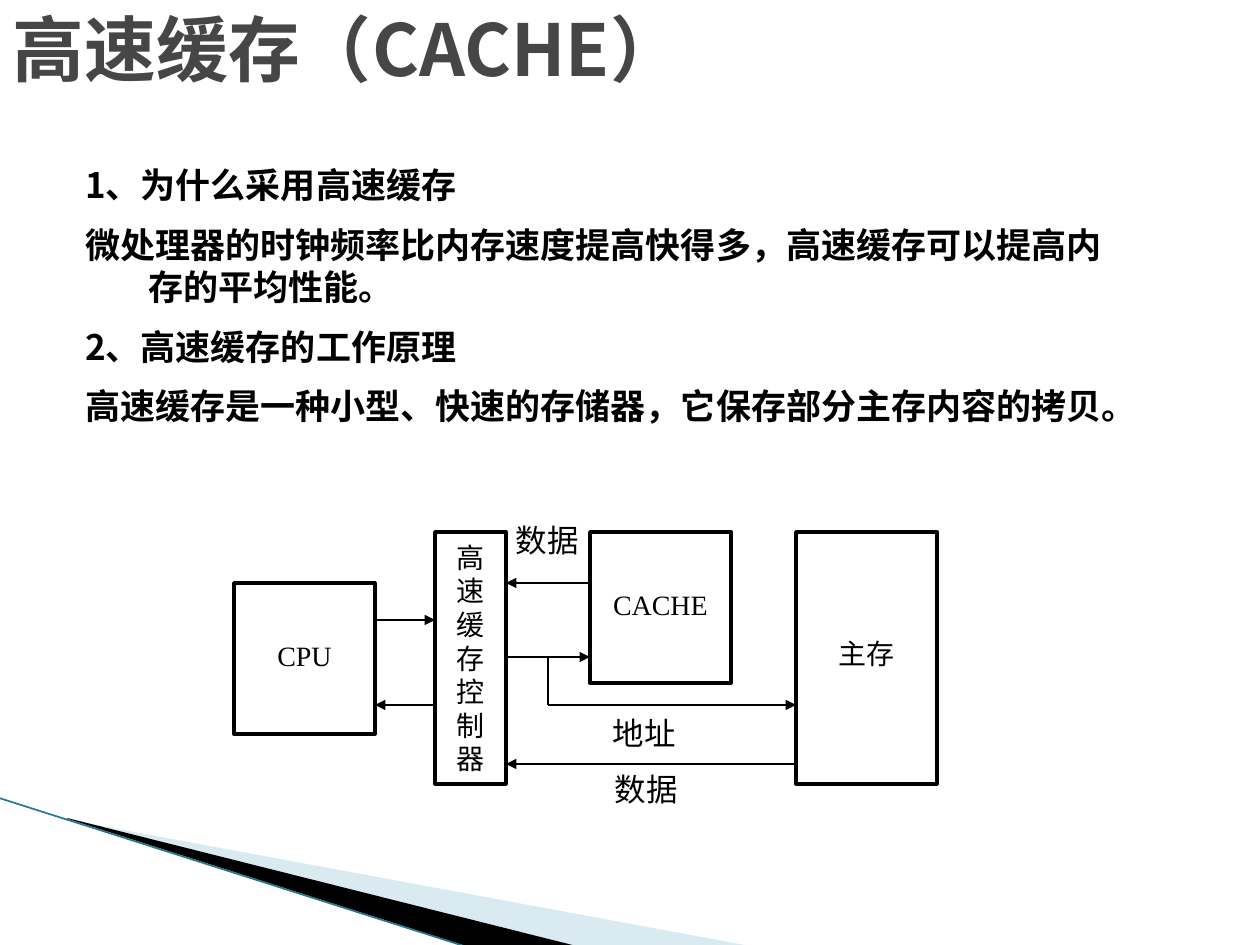
from lxml import etree
from pptx import Presentation
from pptx.dml.color import RGBColor
from pptx.enum.shapes import MSO_CONNECTOR, MSO_SHAPE
from pptx.enum.text import MSO_ANCHOR, PP_ALIGN
from pptx.oxml.ns import qn
from pptx.util import Pt

EMU_PER_PX = 914400 / 126
TITLE_ONLY = 5
RECTANGLE = MSO_SHAPE.RECTANGLE
STRAIGHT = MSO_CONNECTOR.STRAIGHT
TOP, MIDDLE = MSO_ANCHOR.TOP, MSO_ANCHOR.MIDDLE
LEFT, CENTER = PP_ALIGN.LEFT, PP_ALIGN.CENTER
BLACK = RGBColor(0x00, 0x00, 0x00)
TITLE_GRAY = RGBColor(0x46, 0x46, 0x46)
PALE_BLUE = RGBColor(0xA0, 0xCB, 0xDC)
TEAL = RGBColor(0x1F, 0x7A, 0x8C)
SANS = "Noto Sans CJK SC"
SERIF = "Times New Roman"


def px(value):
    return round(value * EMU_PER_PX)


class SlideBuilder:
    """Holds the slide and draws each kind of element in one style."""

    def __init__(self, slide):
        self.slide = slide
        self.shapes = slide.shapes

    def format_text(self, frame, size, font=SERIF, color=BLACK, bold=False,
                    align=CENTER, anchor=MIDDLE, hanging=0, line_height=1.2):
        """Style all text; line_height is a multiple of size, None is natural."""
        frame.word_wrap = True
        frame.vertical_anchor = anchor
        frame.margin_left = frame.margin_right = px(12)
        frame.margin_top = frame.margin_bottom = px(6)
        for number, paragraph in enumerate(frame.paragraphs):
            paragraph.alignment = align
            paragraph.space_before = Pt(size / 2 if number else 0)
            if line_height:
                paragraph.line_spacing = Pt(size * line_height)
            if hanging:
                properties = paragraph._p.get_or_add_pPr()
                properties.set("marL", str(px(hanging)))
                properties.set("indent", str(-px(hanging)))
            for run in paragraph.runs:
                run.font.size = Pt(size)
                run.font.name = font
                run.font.bold = bold
                run.font.color.rgb = color
                east_asian = etree.SubElement(run._r.get_or_add_rPr(), qn("a:ea"))
                east_asian.set("typeface", SANS)

    def title(self, text, left, top, width, height):
        title = self.shapes.title
        title.left, title.top = px(left), px(top)
        title.width, title.height = px(width), px(height)
        frame = title.text_frame
        frame.text = text
        self.format_text(frame, 41, SANS, TITLE_GRAY, True, LEFT,
                         hanging=35, line_height=None)
        frame.margin_bottom = px(16)

    def text(self, text, left, top, width, height, size, **style):
        box = self.shapes.add_textbox(px(left), px(top), px(width), px(height))
        box.text_frame.text = text
        self.format_text(box.text_frame, size, **style)

    def box(self, text, left, top, width, height, lift=0):
        """Outlined box; lift raises its text above the middle."""
        shape = self.shapes.add_shape(RECTANGLE, px(left), px(top),
                                      px(width), px(height))
        shape.shadow.inherit = False
        shape.fill.background()
        shape.line.color.rgb = BLACK
        shape.line.width = Pt(2)
        shape.text_frame.text = text
        self.format_text(shape.text_frame, 16)
        shape.text_frame.margin_bottom = px(6 + 2 * lift)

    def line(self, start, end, arrow=True, color=BLACK, width=0.75):
        connector = self.shapes.add_connector(
            STRAIGHT, *(px(value) for value in (*start, *end)))
        connector.line.color.rgb = color
        connector.line.width = Pt(width)
        if arrow:
            tail = etree.SubElement(connector.line._get_or_add_ln(), qn("a:tailEnd"))
            tail.set("type", "triangle")
        etree.SubElement(connector._element.spPr, qn("a:effectLst"))

    def polygon(self, points, color, opacity=100):
        builder = self.shapes.build_freeform(*points[0], scale=EMU_PER_PX)
        builder.add_line_segments(points[1:], close=True)
        shape = builder.convert_to_shape()
        shape.shadow.inherit = False
        shape.line.fill.background()
        shape.fill.solid()
        shape.fill.fore_color.rgb = color
        if opacity < 100:
            fill_color = shape._element.spPr.find(qn("a:solidFill"))[0]
            alpha = etree.SubElement(fill_color, qn("a:alpha"))
            alpha.set("val", str(opacity * 1000))


def main():
    presentation = Presentation()
    presentation.slide_width, presentation.slide_height = px(1260), px(945)
    layout = presentation.slide_layouts[TITLE_ONLY]
    builder = SlideBuilder(presentation.slides.add_slide(layout))

    builder.polygon([(69, 820), (750, 946), (575, 946), (69, 819)], PALE_BLUE, 40)
    builder.polygon([(67, 818), (576, 946), (469, 947), (68, 819)], BLACK)
    builder.line((-1, 798), (467, 947), arrow=False, color=TEAL, width=0.95)

    builder.title("高速缓存（CACHE）", 1, 0, 1008, 106)
    builder.text(
        "1、为什么采用高速缓存\n"
        "微处理器的时钟频率比内存速度提高快得多，高速缓存可以提高内存的平均性能。\n"
        "2、高速缓存的工作原理\n"
        "高速缓存是一种小型、快速的存储器，它保存部分主存内容的拷贝。",
        73, 158, 1075, 330, 20, font=SANS, bold=True, align=LEFT, anchor=TOP,
        hanging=63)

    cpu_right, control_left, control_right = 375, 435, 506
    cache_left, memory_left, branch = 590, 796, 548
    address_row, return_row = 657, 705

    builder.box("CPU", 234, 583, 141, 151, lift=3)
    builder.box("高速缓存控制器", control_left, 532, 71, 252)
    builder.box("CACHE", cache_left, 532, 141, 151, lift=3)
    builder.box("主存", memory_left, 532, 141, 252, lift=5)

    for start, end, row in (
        (cpu_right, control_left, 620),
        (control_left, cpu_right, return_row),
        (cache_left, control_right, 583),
        (control_right, cache_left, address_row),
        (branch, memory_left, return_row),
        (memory_left, control_right, 764),
    ):
        builder.line((start, row), (end, row))
    builder.line((branch, address_row), (branch, return_row), arrow=False)

    for label, left, top in (("数据", 490, 515), ("地址", 587, 708),
                             ("数据", 589, 764)):
        builder.text(label, left, top, 115, 50, 18)

    presentation.save("out.pptx")


if __name__ == "__main__":
    main()
